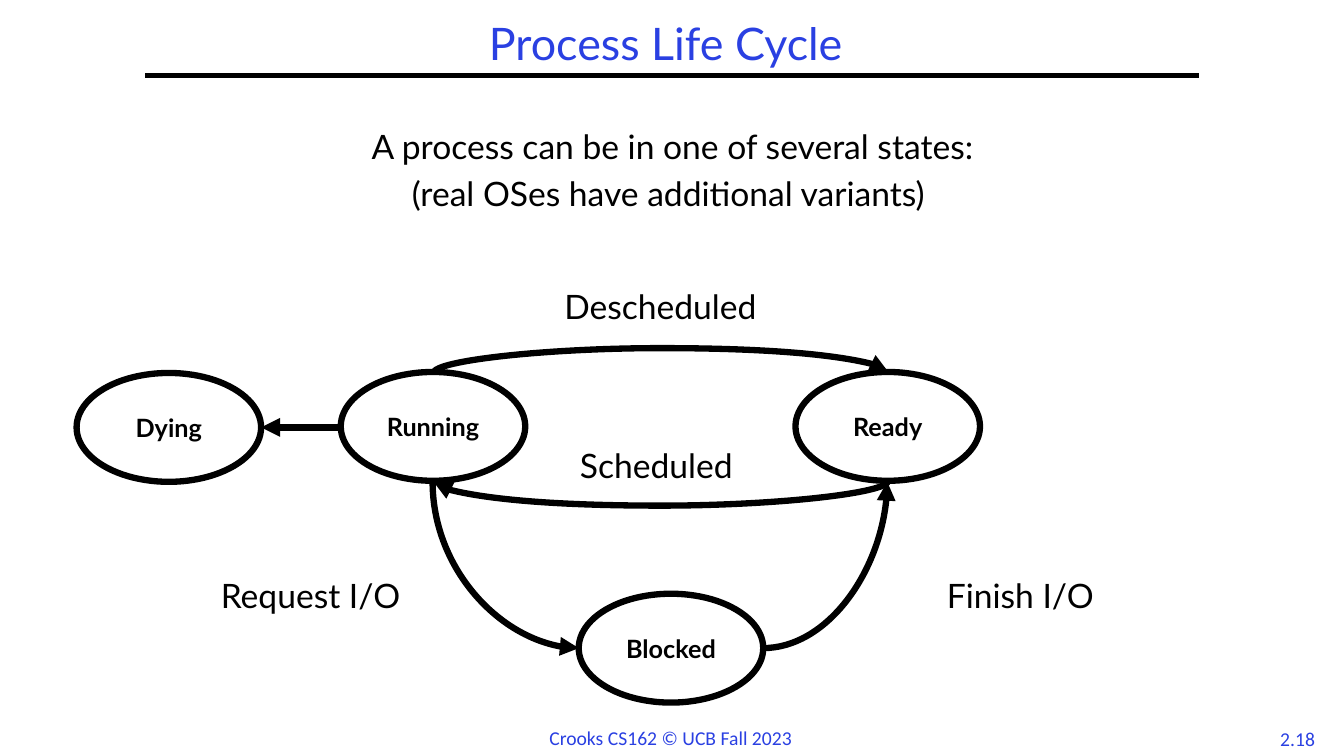
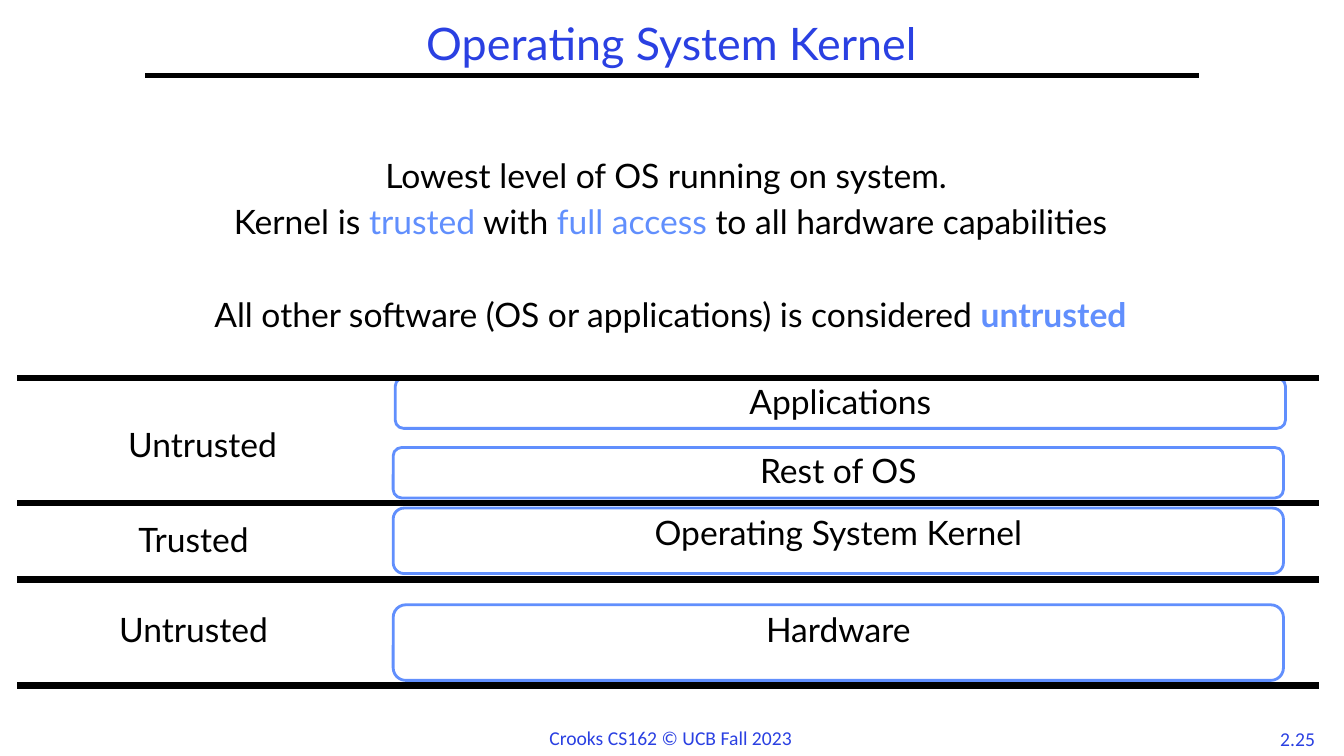
from dataclasses import dataclass
from math import cos, radians, sin

from lxml.etree import SubElement
from pptx import Presentation
from pptx.dml.color import RGBColor
from pptx.enum.shapes import MSO_CONNECTOR, MSO_SHAPE
from pptx.enum.text import MSO_ANCHOR, MSO_AUTO_SIZE, PP_ALIGN
from pptx.oxml.ns import qn
from pptx.util import Inches, Pt


@dataclass(frozen=True)
class Theme:
    title_color: str = "2A40E2"
    ink: str = "000000"
    accent: str = "618FFD"
    paper: str = "FFFFFF"
    font: str = "Lato"
    footer_font: str = "Calibri"
    title_size: float = 32
    body_size: float = 24
    state_size: float = 18
    footer_size: float = 14
    heavy_line: float = 4.5
    title_line: float = 3
    box_line: float = 2
    line_spacing: float = 0.9
    paragraph_gap: float = 7.2
    section_gap: float = 40.3


THEME = Theme()
FOOTER = "Crooks CS162 © UCB Fall 2023"
HIGHLIGHT = {"color": THEME.accent}

# Life cycle content: states by left and top, labels by left and top
STATE_SIZE = (1.83, 1.08)
STATES = {
    "Running": (3.38, 3.69),
    "Ready": (7.89, 3.69),
    "Blocked": (5.74, 5.89),
    "Dying": (0.76, 3.7),
}
TRANSITION_LABELS = [
    ("Request I/O", 1.61, 5.7),
    ("Finish I/O", 8.65, 5.7),
    ("Descheduled", 5.08, 2.83),
    ("Scheduled", 5.04, 4.41),
]
# Start, end, quarter turn of the curve, depth of the bow (None for one bend)
TRANSITIONS = [
    ((4.3, 3.7), (8.81, 3.69), 90, 0.25),
    ((8.81, 4.77), (4.3, 4.78), 90, 0.25),
    ((4.29, 4.78), (5.74, 6.43), 270, None),
    ((7.57, 6.43), (8.8, 4.78), 0, None),
]
EXIT_ARROW = ((3.38, 4.24), (2.59, 4.24))
LIFE_CYCLE_TEXT = [
    ["A process can be in one of several states:"],
    ["(real OSes have additional variants) "],
]

# Kernel content
KERNEL_TEXT = [
    ["Lowest level of OS running on system. "],
    ["Kernel is ", ("trusted", HIGHLIGHT), " with ", ("full access ", HIGHLIGHT),
     "to all hardware capabilities"],
    ["All other software (OS or applications) is considered ",
     ("untrusted", {"color": THEME.accent, "bold": True})],
]
LAYERS = [  # text, left, top, height
    ("Hardware", 3.9, 6, 0.75),
    ("Operating System Kernel", 3.9, 5.04, 0.65),
    ("Rest of OS", 3.9, 4.44, 0.5),
    ("Applications", 3.92, 3.75, 0.5),
]
LAYER_WIDTH = 8.83
DIVIDERS = [3.75, 4.99, 5.75, 6.8]
TRUST_LABELS = [("Untrusted", 0.26, 4.2), ("Trusted", 0.17, 5.14), ("Untrusted", 0.17, 6.04)]


def write(shape, paragraphs, size=THEME.body_size, color=THEME.ink, font=THEME.font,
          bold=False, align=PP_ALIGN.CENTER, anchor=MSO_ANCHOR.TOP, wrap=True,
          spacing=THEME.line_spacing, gaps=()):
    """Fill a shape with a string, or with paragraphs made of runs."""
    frame = shape.text_frame
    frame.word_wrap = wrap
    frame.auto_size = MSO_AUTO_SIZE.NONE
    frame.vertical_anchor = anchor
    if isinstance(paragraphs, str):
        paragraphs = [[paragraphs]]
    for index, runs in enumerate(paragraphs):
        paragraph = frame.add_paragraph() if index else frame.paragraphs[0]
        paragraph.alignment = align
        paragraph.line_spacing = spacing
        paragraph.space_before = Pt(gaps[index - 1] if index else 0)
        for part in runs:
            text, style = (part, {}) if isinstance(part, str) else part
            run = paragraph.add_run()
            run.text = text
            run.font.name = font
            run.font.size = Pt(size)
            run.font.bold = style.get("bold", bold)
            run.font.color.rgb = RGBColor.from_string(style.get("color", color))


def add_text(slide, text, left, top, width, height, **text_format):
    box = slide.shapes.add_textbox(Inches(left), Inches(top), Inches(width), Inches(height))
    write(box, text, **text_format)


def add_box(slide, preset, text, box, line_color, line_width, **text_format):
    shape = slide.shapes.add_shape(preset, *map(Inches, box))
    shape.shadow.inherit = False
    shape.fill.solid()
    shape.fill.fore_color.rgb = RGBColor.from_string(THEME.paper)
    shape.line.color.rgb = RGBColor.from_string(line_color)
    shape.line.width = Pt(line_width)
    write(shape, text, **text_format)


def add_line(slide, start, end, width=THEME.heavy_line, kind=MSO_CONNECTOR.STRAIGHT, arrow=False):
    connector = slide.shapes.add_connector(kind, *map(Inches, (*start, *end)))
    connector.line.color.rgb = RGBColor.from_string(THEME.ink)
    connector.line.width = Pt(width)
    if arrow:
        SubElement(connector.line._get_or_add_ln(), qn("a:tailEnd"), type="triangle")
    SubElement(connector._element.spPr, qn("a:effectLst"))
    return connector


def add_curve(slide, start, end, turn, bow):
    """Lay the curve out unturned around its midpoint, then turn it."""
    (x1, y1), (x2, y2) = start, end
    cosine, sine = round(cos(radians(turn))), round(sin(radians(turn)))
    run = (x2 - x1) * cosine + (y2 - y1) * sine
    rise = (y2 - y1) * cosine - (x2 - x1) * sine
    middle_x, middle_y = (x1 + x2) / 2, (y1 + y2) / 2
    connector = add_line(slide, (middle_x - run / 2, middle_y - rise / 2),
                         (middle_x + run / 2, middle_y + rise / 2),
                         kind=MSO_CONNECTOR.CURVE, arrow=True)
    properties = connector._element.spPr
    properties.find(qn("a:xfrm")).set("rot", str(turn * 60000))
    geometry = properties.find(qn("a:prstGeom"))
    if bow is None:
        geometry.set("prst", "curvedConnector2")
    else:
        adjustments = geometry.find(qn("a:avLst"))
        if adjustments is None:
            adjustments = SubElement(geometry, qn("a:avLst"))
        SubElement(adjustments, qn("a:gd"), name="adj1",
                   fmla=f"val {round(bow / abs(run) * 100000)}")


def add_slide(presentation, title, number):
    """Start a slide with the shared title, rule and footer."""
    slide = presentation.slides.add_slide(presentation.slide_layouts[5])
    heading = slide.shapes.title
    heading.left, heading.top, heading.width, heading.height = map(
        Inches, (1.44, 0.17, 10.44, 0.58))
    write(heading, title, size=THEME.title_size, color=THEME.title_color,
          anchor=MSO_ANCHOR.MIDDLE)
    add_line(slide, (1.44, 0.75), (11.89, 0.75), width=THEME.title_line)
    footer_format = dict(size=THEME.footer_size, color=THEME.title_color,
                         font=THEME.footer_font, wrap=False, spacing=1)
    add_text(slide, FOOTER, 5.35, 7.15, 2.63, 0.34, align=PP_ALIGN.LEFT, **footer_format)
    add_text(slide, number, 12.58, 7.16, 0.58, 0.33, **footer_format)
    return slide


def build_life_cycle(presentation):
    slide = add_slide(presentation, "Process Life Cycle ", "2.18")
    add_text(slide, LIFE_CYCLE_TEXT, 0.89, 1.25, 11.56, 1, gaps=[THEME.paragraph_gap])
    for state, position in STATES.items():
        add_box(slide, MSO_SHAPE.OVAL, state, (*position, *STATE_SIZE), THEME.ink,
                THEME.heavy_line, size=THEME.state_size, bold=True,
                anchor=MSO_ANCHOR.MIDDLE, spacing=1)
    for transition in TRANSITIONS:
        add_curve(slide, *transition)
    add_line(slide, *EXIT_ARROW, arrow=True)
    for text, left, top in TRANSITION_LABELS:
        add_text(slide, text, left, top, 2.94, 0.5)


def build_kernel(presentation):
    slide = add_slide(presentation, "Operating System Kernel", "2.25")
    add_text(slide, KERNEL_TEXT, 0.15, 1.53, 13, 2,
             gaps=[THEME.paragraph_gap, THEME.section_gap])
    for text, left, top, height in LAYERS:
        add_box(slide, MSO_SHAPE.ROUNDED_RECTANGLE, text, (left, top, LAYER_WIDTH, height),
                THEME.accent, THEME.box_line)
    for top in DIVIDERS:
        add_line(slide, (0.17, top), (13.08, top))
    for text, left, top in TRUST_LABELS:
        add_text(slide, text, left, top, 3.5, 0.5)


def main():
    presentation = Presentation()
    presentation.slide_width, presentation.slide_height = Inches(13.33), Inches(7.5)
    build_life_cycle(presentation)
    build_kernel(presentation)
    presentation.save("out.pptx")


if __name__ == "__main__":
    main()
